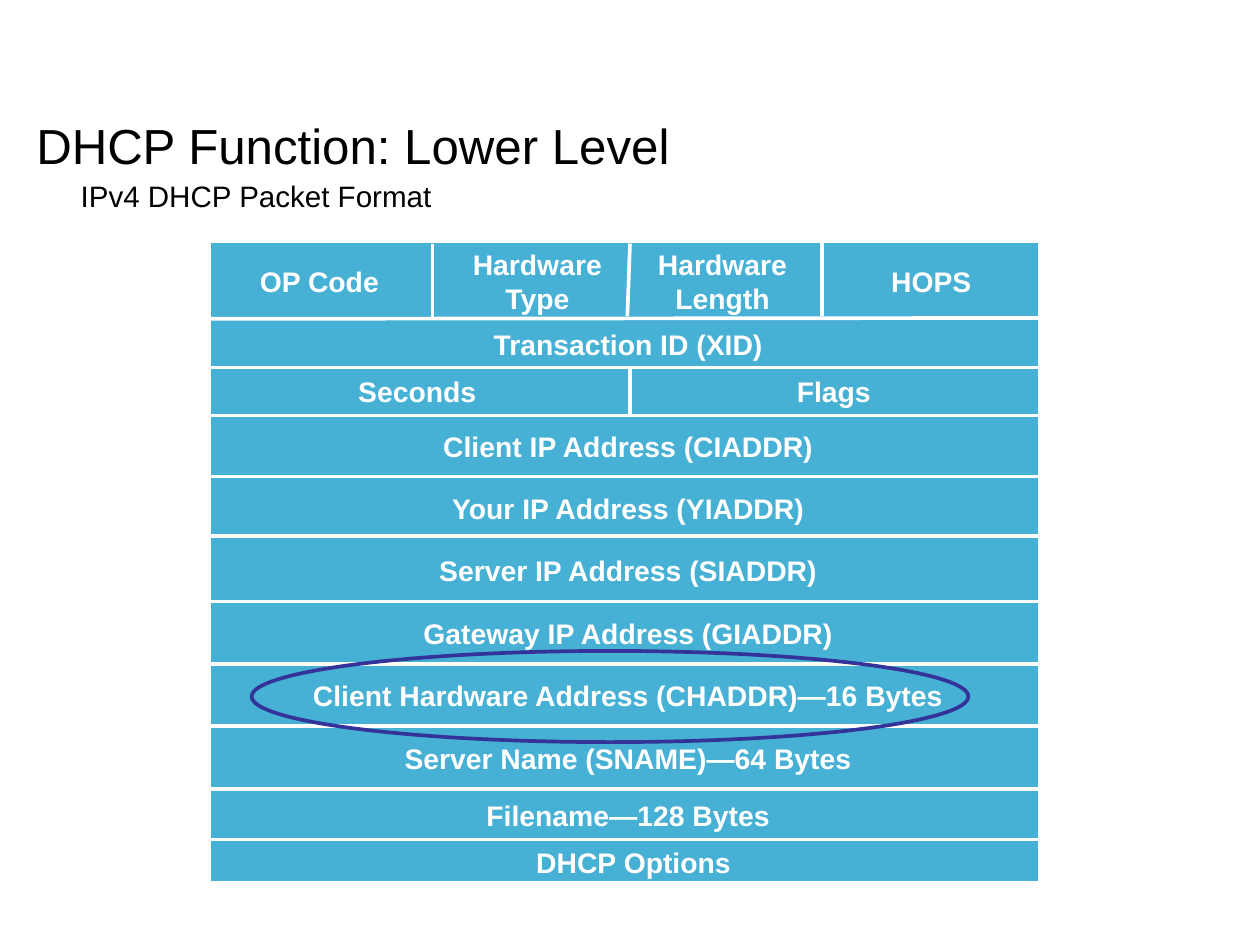
"""Draw the IPv4 DHCP packet format as a slide on a grid of 100 columns by 100 rows."""
import pptx
import pptx.util
import pptx.dml.color
import pptx.enum.shapes
import pptx.enum.text
import pptx.oxml

WHITE = pptx.dml.color.RGBColor(0xFF, 0xFF, 0xFF)
BLACK = pptx.dml.color.RGBColor(0x00, 0x00, 0x00)
SKY = pptx.dml.color.RGBColor(0x47, 0xB0, 0xD5)
NAVY = pptx.dml.color.RGBColor(0x33, 0x33, 0x99)

LEFT, RIGHT, TOP, BASE = 16.67, 82.49, 25.59, 93.35
INDENT, WIDE, HALF, SLOT = 20.4, 58.93, 29.4, 14.7
LOW, TALL = 4.69, 8.34

RULES = [38.89, 43.96, 50.42, 56.7, 63.64, 70.29, 76.85, 83.51, 88.85]
SPLITS = [
    (34.32, 33.55, 34.32, 25.77),
    (49.79, 33.46, 50, 25.77),
    (65.26, 33.46, 65.26, 25.02),
    (50, 43.86, 50, 38.8),
]
FIELDS = [
    ("OP Code", 18, 27.37, SLOT, LOW),
    ("Hardware\nType", 35.3, TOP, SLOT, TALL),
    ("Hardware\nLength", 50, TOP, SLOT, TALL),
    ("HOPS", 67.51, 27.37, 12.8, LOW),
    ("Transaction ID (XID)", INDENT, 34.11, WIDE, LOW),
    ("Seconds", 18.42, 38.99, HALF, LOW),
    ("Flags", 51.48, 38.99, HALF, LOW),
    ("Client IP Address (CIADDR)", INDENT, 44.89, WIDE, LOW),
    ("Your IP Address (YIADDR)", INDENT, 51.45, WIDE, LOW),
    ("Server IP Address (SIADDR)", INDENT, 58.01, WIDE, LOW),
    ("Gateway IP Address (GIADDR)", INDENT, 64.67, WIDE, LOW),
    ("Client Hardware Address (CHADDR)—16 Bytes", INDENT, 71.23, WIDE, LOW),
    ("Server Name (SNAME)—64 Bytes", INDENT, 77.88, WIDE, LOW),
    ("Filename—128 Bytes", INDENT, 83.88, WIDE, LOW),
    ("DHCP Options", 20.82, 88.85, WIDE, LOW),
]


class Sheet:
    """Hold the style and the current slide."""

    font = "Arial"

    def __init__(self, deck):
        self.deck = deck
        self.slide = deck.slides.add_slide(deck.slide_layouts[6])

    def grid(self, *spots):
        """Turn pairs of columns and rows into lengths."""
        sides = (self.deck.slide_width, self.deck.slide_height)
        return [round(spot * sides[i % 2] / 100) for i, spot in enumerate(spots)]

    def text(self, words, *box, size=23, color=WHITE, bold=False, align="LEFT",
             anchor="TOP", pad=0.11, gap=None):
        """Write words in a box, one paragraph a line."""
        frame = self.slide.shapes.add_textbox(*self.grid(*box)).text_frame
        frame.word_wrap = True
        frame.vertical_anchor = getattr(pptx.enum.text.MSO_ANCHOR, anchor)
        frame.margin_left = frame.margin_right = pptx.util.Inches(pad)
        frame.margin_top = frame.margin_bottom = pptx.util.Inches(0.06)
        frame.text = words
        for para in frame.paragraphs:
            para.alignment = getattr(pptx.enum.text.PP_ALIGN, align)
            para.line_spacing = gap
            font = para.runs[0].font
            font.name, font.size, font.bold = self.font, pptx.util.Pt(size), bold
            font.color.rgb = color

    def shape(self, kind, *box, fill=None, line=WHITE, width=3):
        """Add a preset shape, hollow unless a fill is given."""
        preset = getattr(pptx.enum.shapes.MSO_SHAPE, kind)
        form = self.slide.shapes.add_shape(preset, *self.grid(*box))
        form.shadow.inherit = False
        if fill is None:
            form.fill.background()
        else:
            form.fill.solid()
            form.fill.fore_color.rgb = fill
        form.line.color.rgb = line
        form.line.width = pptx.util.Pt(width)

    def rule(self, *ends):
        """Add a straight white line between two points."""
        kind = pptx.enum.shapes.MSO_CONNECTOR.STRAIGHT
        link = self.slide.shapes.add_connector(kind, *self.grid(*ends))
        link.line.color.rgb = WHITE
        link.line.width = pptx.util.Pt(3)
        props = link._element.spPr
        props.append(props.makeelement(pptx.oxml.ns.qn("a:effectLst"), {}))


def main():
    """Build and save the slide."""
    deck = pptx.Presentation()
    deck.slide_width = pptx.util.Inches(14.22)
    deck.slide_height = pptx.util.Inches(10.67)
    sheet = Sheet(deck)

    sheet.text("DHCP Function: Lower Level", 2.46, 0, 95.22, 19.03,
               size=40, color=BLACK, anchor="BOTTOM", pad=0.06)
    sheet.shape("RECTANGLE", LEFT, TOP, RIGHT - LEFT, BASE - TOP, fill=SKY, width=2)
    for field in FIELDS:
        sheet.text(*field, bold=True, align="CENTER")
    sheet.rule(LEFT, 33.74, RIGHT, 33.65)
    for row in RULES:
        sheet.rule(LEFT, row, RIGHT, row)
    for split in SPLITS:
        sheet.rule(*split)
    sheet.shape("OVAL", 19.97, 68.88, 56.89, 9.65, line=NAVY)
    sheet.text("IPv4 DHCP Packet Format", 5.49, 18.74, 75.95, 6.28,
               size=24, color=BLACK, pad=0.13, gap=0.9)
    deck.save("out.pptx")


if __name__ == "__main__":
    main()
